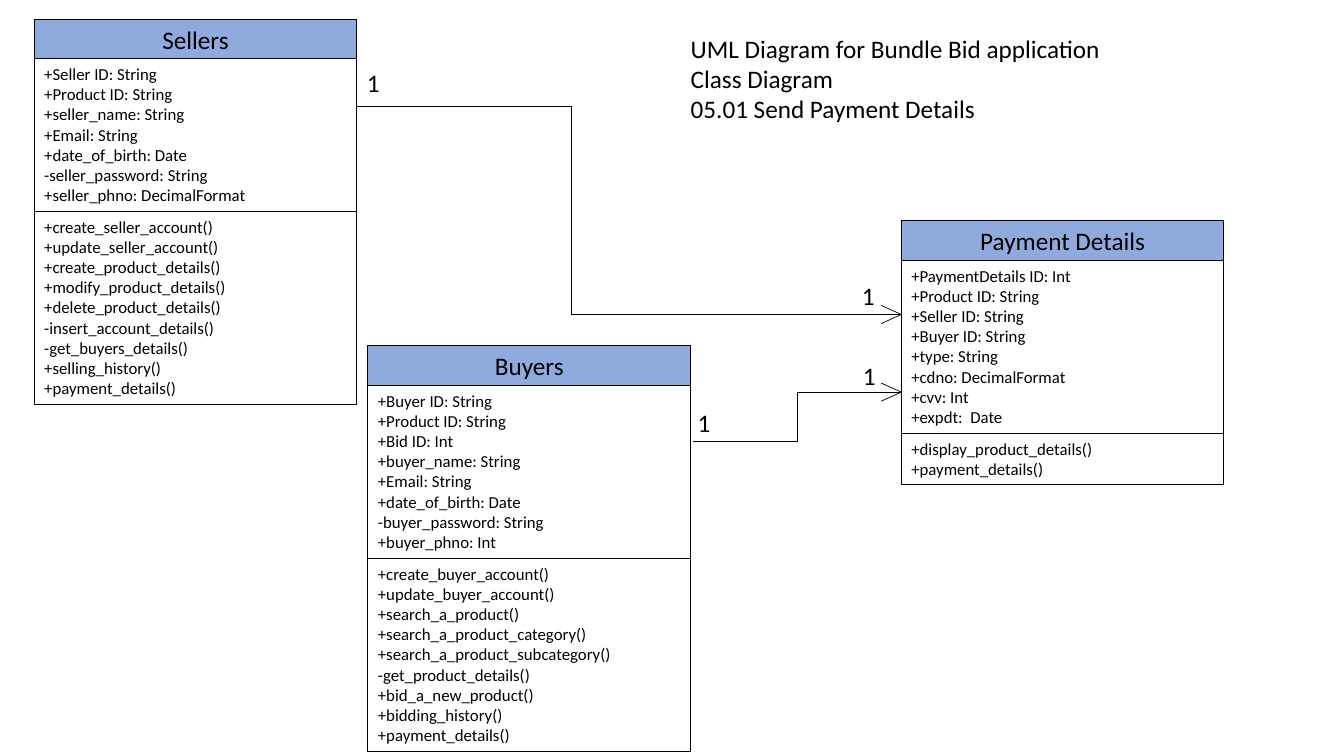
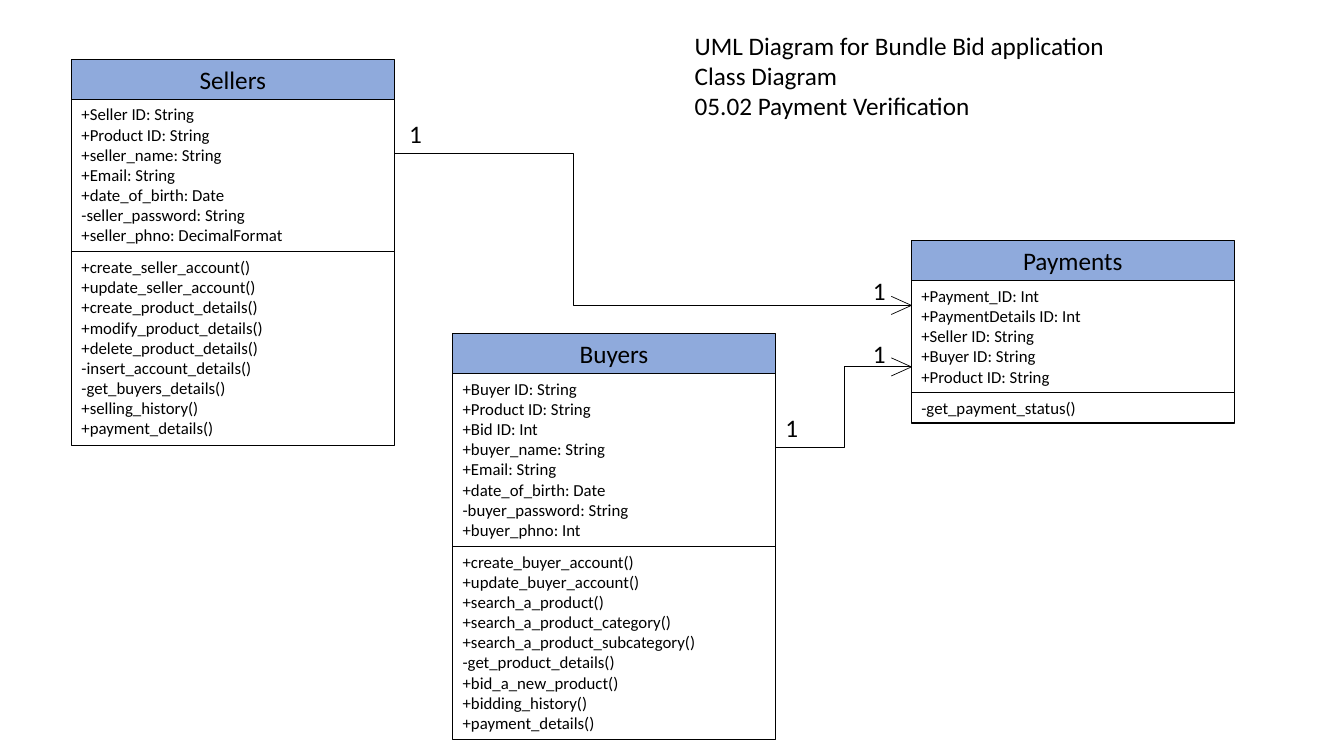
from pptx import Presentation
from pptx.dml.color import RGBColor
from pptx.enum.shapes import MSO_CONNECTOR, MSO_SHAPE
from pptx.enum.text import MSO_ANCHOR, MSO_AUTO_SIZE, PP_ALIGN
from pptx.oxml.ns import qn
from pptx.util import Inches, Pt
from lxml import etree

# Shared style
BLACK = RGBColor(0x00, 0x00, 0x00)
HEADER_BLUE = RGBColor(0x8F, 0xAA, 0xDC)
FONT = "Calibri"
LARGE, SMALL = 18, 12
RECT = MSO_SHAPE.RECTANGLE
STRAIGHT, ELBOW = MSO_CONNECTOR.STRAIGHT, MSO_CONNECTOR.ELBOW
LEFT, CENTER = PP_ALIGN.LEFT, PP_ALIGN.CENTER
TOP, MIDDLE = MSO_ANCHOR.TOP, MSO_ANCHOR.MIDDLE
NO_AUTOSIZE = MSO_AUTO_SIZE.NONE
TITLE_ONLY = 5

# Class box measures, in inches
BOX_W = 3.2
HEADER_H = 0.395
LINE_H = 0.202
PADDING = 0.1
ARROW_W, ARROW_H = 0.2, 0.09

# Class members
SELLERS = ("Sellers", [
    "+Seller ID: String",
    "+Product ID: String",
    "+seller_name: String",
    "+Email: String",
    "+date_of_birth: Date",
    "-seller_password: String",
    "+seller_phno: DecimalFormat",
], [
    "+create_seller_account()",
    "+update_seller_account()",
    "+create_product_details()",
    "+modify_product_details()",
    "+delete_product_details()",
    "-insert_account_details()",
    "-get_buyers_details()",
    "+selling_history()",
    "+payment_details()",
])
BUYERS = ("Buyers", [
    "+Buyer ID: String",
    "+Product ID: String",
    "+Bid ID: Int",
    "+buyer_name: String",
    "+Email: String",
    "+date_of_birth: Date",
    "-buyer_password: String",
    "+buyer_phno: Int",
], [
    "+create_buyer_account()",
    "+update_buyer_account()",
    "+search_a_product()",
    "+search_a_product_category()",
    "+search_a_product_subcategory()",
    "-get_product_details()",
    "+bid_a_new_product()",
    "+bidding_history()",
    "+payment_details()",
])
PAYMENT_DETAILS = ("Payment Details", [
    "+PaymentDetails ID: Int",
    "+Product ID: String",
    "+Seller ID: String",
    "+Buyer ID: String",
    "+type: String",
    "+cdno: DecimalFormat",
    "+cvv: Int",
    "+expdt:  Date",
], [
    "+display_product_details()",
    "+payment_details()",
])
PAYMENTS = ("Payments", [
    "+Payment_ID: Int",
    "+PaymentDetails ID: Int",
    "+Seller ID: String",
    "+Buyer ID: String",
    "+Product ID: String",
], [
    "-get_payment_status()",
])

# Per slide: boxes as (class, left, top), links as (start, end, bend),
# multiplicities as (left, top)
DIAGRAMS = [
    {
        "title": "05.01 Send Payment Details",
        "title_at": (6.75, 0.28),
        "boxes": [(PAYMENT_DETAILS, 8.94, 2.19), (SELLERS, 0.34, 0.19),
                  (BUYERS, 3.65, 3.43)],
        "links": [((6.87, 4.38), (8.94, 3.89), 0.5),
                  ((3.54, 1.06), (8.94, 3.12), 0.394)],
        "ones": [(6.82, 3.99), (8.46, 3.53), (3.54, 0.62), (8.45, 2.73)],
    },
    {
        "title": "05.02 Payment Verification",
        "title_at": (6.79, 0.25),
        "boxes": [(PAYMENTS, 9.04, 2.39), (SELLERS, 0.71, 0.59),
                  (BUYERS, 4.49, 3.31)],
        "links": [((7.7, 4.44), (9.04, 3.64), 0.5),
                  ((3.91, 1.52), (9.04, 3.03), 0.347)],
        "ones": [(7.69, 4.04), (8.56, 3.31), (3.96, 1.12), (8.56, 2.68)],
    },
]


def set_text(sp, lines, size, align=LEFT, anchor=TOP):
    tf = sp.text_frame
    tf.text = "\n".join(lines)
    tf.word_wrap = True
    tf.auto_size = NO_AUTOSIZE
    tf.vertical_anchor = anchor
    for p in tf.paragraphs:
        p.alignment = align
        for r in p.runs:
            r.font.name = FONT
            r.font.size = Pt(size)
            r.font.color.rgb = BLACK


def add_title(s, name, left, top):
    title = s.shapes.title
    title.left, title.top = Inches(left), Inches(top)
    title.width, title.height = Inches(4.5), Inches(1.01)
    lines = ["UML Diagram for Bundle Bid application", "Class Diagram", name]
    set_text(title, lines, LARGE)


def add_section(s, left, top, height, lines, size, align=LEFT, fill=None):
    sp = s.shapes.add_shape(RECT, Inches(left), Inches(top),
                            Inches(BOX_W), Inches(height))
    sp.shadow.inherit = False
    if fill is None:
        sp.fill.background()
    else:
        sp.fill.solid()
        sp.fill.fore_color.rgb = fill
    sp.line.color.rgb = BLACK
    sp.line.width = Pt(0.75)
    set_text(sp, lines, size, align, MIDDLE if fill else TOP)


def add_class_box(s, uml_class, left, top):
    name, attributes, methods = uml_class
    add_section(s, left, top, HEADER_H, [name], LARGE, CENTER, HEADER_BLUE)
    top += HEADER_H
    for members in (attributes, methods):
        height = PADDING + LINE_H * len(members)
        add_section(s, left, top, height, members, SMALL)
        top += height


def add_line(s, kind, start, end):
    line = s.shapes.add_connector(kind, *map(Inches, start + end))
    line.line.color.rgb = BLACK
    line.line.width = Pt(0.5)
    etree.SubElement(line._element.spPr, qn("a:effectLst"))
    return line


def add_link(s, start, end, bend):
    link = add_line(s, ELBOW, start, end)
    # Place of the bend along the width
    geometry = link._element.spPr.find(qn("a:prstGeom"))
    guides = geometry.find(qn("a:avLst"))
    if guides is None:
        guides = etree.SubElement(geometry, qn("a:avLst"))
    etree.SubElement(guides, qn("a:gd"), name="adj1",
                     fmla=f"val {round(bend * 100000)}")
    # Open arrowhead
    x, y = end
    for dy in (-ARROW_H, ARROW_H):
        add_line(s, STRAIGHT, (x - ARROW_W, y + dy), end)


def add_multiplicity(s, left, top):
    box = s.shapes.add_textbox(Inches(left), Inches(top),
                               Inches(0.22), Inches(0.4))
    set_text(box, ["1"], LARGE)


def add_diagram(prs, diagram):
    s = prs.slides.add_slide(prs.slide_layouts[TITLE_ONLY])
    add_title(s, diagram["title"], *diagram["title_at"])
    for box in diagram["boxes"]:
        add_class_box(s, *box)
    for link in diagram["links"]:
        add_link(s, *link)
    for position in diagram["ones"]:
        add_multiplicity(s, *position)


def main():
    prs = Presentation()
    prs.slide_width, prs.slide_height = Inches(13.33), Inches(7.5)
    for diagram in DIAGRAMS:
        add_diagram(prs, diagram)
    prs.save("out.pptx")


main()
